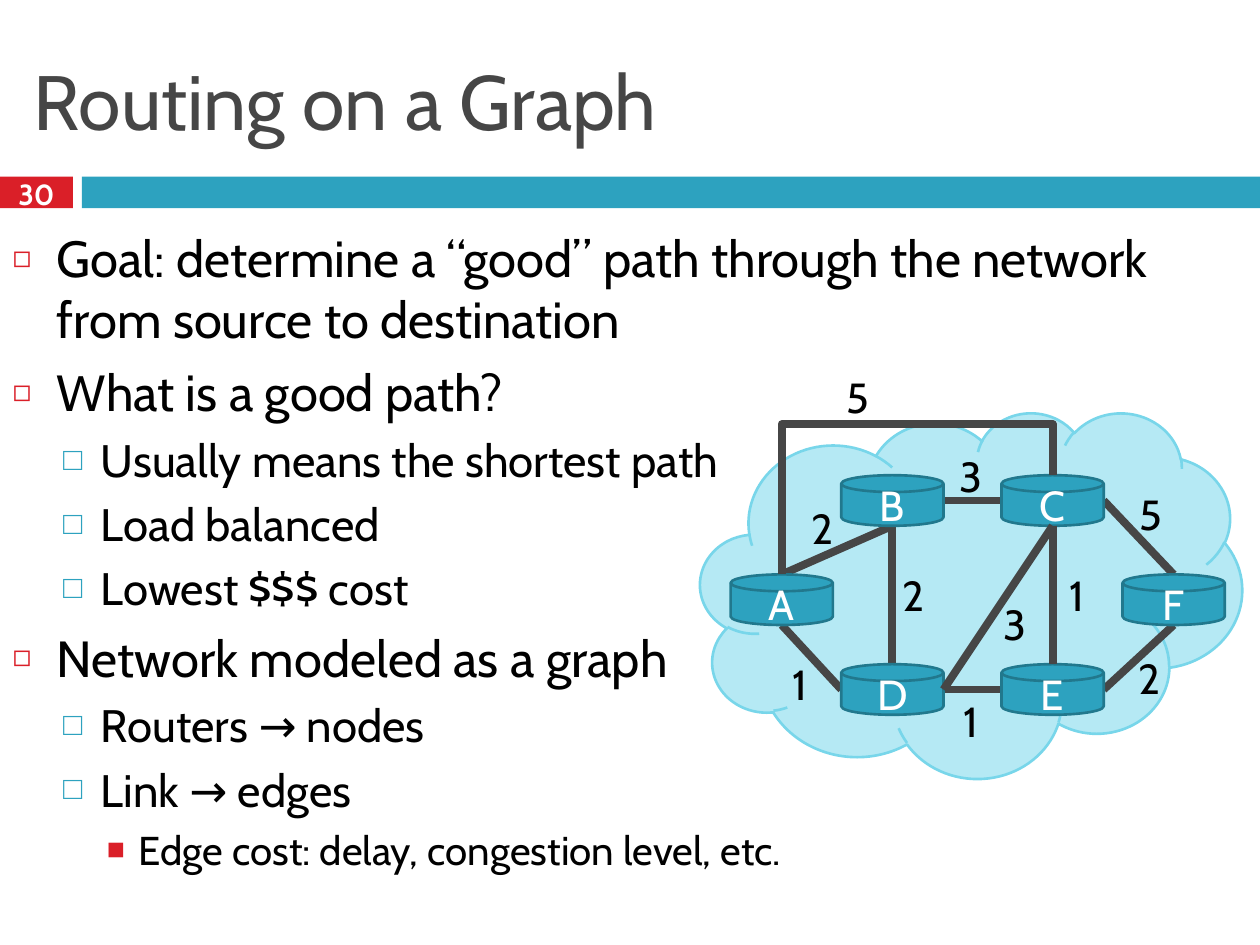
from lxml import etree
from pptx import Presentation
from pptx.dml.color import RGBColor
from pptx.enum.shapes import MSO_CONNECTOR, MSO_SHAPE
from pptx.enum.text import MSO_ANCHOR, MSO_AUTO_SIZE, PP_ALIGN
from pptx.oxml.ns import qn
from pptx.util import Cm, Pt

RECT, CLOUD = MSO_SHAPE.RECTANGLE, MSO_SHAPE.CLOUD
ROUTER = MSO_SHAPE.FLOWCHART_MAGNETIC_DISK
STRAIGHT, ELBOW = MSO_CONNECTOR.STRAIGHT, MSO_CONNECTOR.ELBOW
MIDDLE, CENTER, LEFT = MSO_ANCHOR.MIDDLE, PP_ALIGN.CENTER, PP_ALIGN.LEFT
NO_FIT, GROW = MSO_AUTO_SIZE.NONE, MSO_AUTO_SIZE.SHAPE_TO_FIT_TEXT

COLORS = {"red": "DA1F28", "teal": "2DA2BF", "teal_dark": "21788D",
          "cloud": "B5E9F4", "cloud_edge": "78D6EA", "gray": "464646",
          "black": "000000", "white": "FFFFFF"}

# Per outline level: bullet, its colour and size, indents, text size, space before
LEVELS = [
    dict(bullet="◻", color="red", percent=60, left=0.89, hang=0.89, size=29, before=7),
    dict(bullet="□", color="teal", percent=70, left=1.78, hang=0.76, size=26, before=5.5),
    dict(bullet="■", color="red", percent=75, left=2.54, hang=0.64, size=23, before=5),
]
OUTLINE = [
    (0, "Goal: determine a “good” path through the network from source to destination"),
    (0, "What is a good path?"),
    (1, "Usually means the shortest path"),
    (1, "Load balanced"),
    (1, "Lowest $$$ cost"),
    (0, "Network modeled as a graph"),
    (1, "Routers → nodes"),
    (1, "Link → edges"),
    (2, "Edge cost: delay, congestion level, etc."),
]

# Graph positions in cm from the cloud's top left corner
ROUTER_W, ROUTER_H = 2.06, 1.02
ROUTERS = {"A": (0.61, 3.27), "B": (2.84, 1.27), "C": (6.07, 1.27),
           "D": (2.84, 5.08), "E": (6.07, 5.08), "F": (8.51, 3.27)}
SIDES = {"top": (0.5, 0), "left": (0, 0.5), "bottom": (0.5, 1), "right": (1, 0.5)}
LINKS_BEHIND = [("F", "bottom", "E", "right"), ("C", "right", "F", "top"),
                ("B", "right", "C", "left"), ("E", "left", "D", "right"),
                ("A", "bottom", "D", "left"), ("A", "top", "B", "bottom"),
                ("D", "top", "B", "bottom")]
LINKS_IN_FRONT = [("C", "bottom", "D", "right"), ("C", "bottom", "E", "top")]
DETOUR_RISE = 1.03
COSTS = [("5", 2.67, -0.94), ("2", 1.96, 1.7), ("3", 4.95, 0.64), ("5", 8.59, 1.42),
         ("2", 8.56, 4.72), ("1", 4.95, 5.59), ("1", 1.52, 4.85), ("2", 3.81, 3.05),
         ("3", 5.84, 3.63), ("1", 7.09, 3.05)]


def rgb(name):
    return RGBColor.from_string(COLORS[name])


def set_all(target, **values):
    for key, value in values.items():
        setattr(target, key, value)


def place(shape, box):
    set_all(shape, **dict(zip(("left", "top", "width", "height"), map(Cm, box))))


def write(paragraph, text, size, color, **font):
    run = paragraph.add_run()
    run.text = text
    set_all(run.font, name="Cabin", size=Pt(size), **font)
    run.font.color.rgb = rgb(color)


def add_box(slide, kind, box, fill, line=None):
    shape = slide.shapes.add_shape(kind, *map(Cm, box))
    shape.shadow.inherit = False
    shape.fill.solid()
    shape.fill.fore_color.rgb = rgb(fill)
    if line:
        shape.line.color.rgb = rgb(line)
        shape.line.width = Pt(1.5)
    else:
        shape.line.fill.background()
    return shape


def add_link(slide, kind, start, end):
    link = slide.shapes.add_connector(kind, *map(Cm, start + end))
    link.line.color.rgb = rgb("gray")
    link.line.width = Pt(4.5)
    etree.SubElement(link._element.spPr, qn("a:effectLst"))
    return link


def add_header(slide, box):
    left, top, width, height = box
    number_w, bar_left = 1.47, 1.65
    add_box(slide, RECT, (left, top, number_w, height), "red")
    add_box(slide, RECT, (left + bar_left, top, width - bar_left, height), "teal")
    # Slide number over the red block
    number = slide.shapes.add_textbox(*map(Cm, (left, top - 0.08, number_w, 0.84)))
    set_all(number.text_frame, word_wrap=True, vertical_anchor=MIDDLE,
            margin_top=0, margin_bottom=0)
    paragraph = number.text_frame.paragraphs[0]
    paragraph.alignment = CENTER
    write(paragraph, "30", 16.6, "white", bold=True)


def fill_title(title, box):
    place(title, box)
    set_all(title.text_frame, vertical_anchor=MIDDLE, auto_size=NO_FIT)
    paragraph = title.text_frame.paragraphs[0]
    paragraph.alignment = LEFT
    write(paragraph, "Routing on a Graph", 44, "gray")


def fill_outline(body, box):
    place(body, box)
    frame = body.text_frame
    frame.auto_size = NO_FIT
    for index, (level, text) in enumerate(OUTLINE):
        style = LEVELS[level]
        paragraph = frame.add_paragraph() if index else frame.paragraphs[0]
        props = paragraph._p.get_or_add_pPr()
        props.set("marL", str(Cm(style["left"])))
        props.set("indent", str(-Cm(style["hang"])))
        color = etree.SubElement(props, qn("a:buClr"))
        etree.SubElement(color, qn("a:srgbClr"), val=COLORS[style["color"]])
        etree.SubElement(props, qn("a:buSzPct"), val=str(style["percent"] * 1000))
        etree.SubElement(props, qn("a:buChar"), char=style["bullet"])
        set_all(paragraph, level=level, space_before=Pt(style["before"] if index else 0))
        write(paragraph, text, style["size"], "black")


def add_graph(slide, box):
    left, top = box[:2]

    def port(router, side):
        (x, y), (across, down) = ROUTERS[router], SIDES[side]
        return left + x + across * ROUTER_W, top + y + down * ROUTER_H

    def add_links(links):
        for first, side, second, other_side in links:
            add_link(slide, STRAIGHT, port(first, side), port(second, other_side))

    add_box(slide, CLOUD, box, "cloud", "cloud_edge")
    add_links(LINKS_BEHIND)

    for name, (x, y) in ROUTERS.items():
        router = add_box(slide, ROUTER, (left + x, top + y, ROUTER_W, ROUTER_H),
                         "teal", "teal_dark")
        router.text_frame.vertical_anchor = MIDDLE
        paragraph = router.text_frame.paragraphs[0]
        paragraph.alignment = CENTER
        write(paragraph, name, 24, "white")

    add_links(LINKS_IN_FRONT)
    add_detour(slide, port("A", "top"), port("C", "top"))

    for cost, x, y in COSTS:
        label = slide.shapes.add_textbox(*map(Cm, (left + x, top + y, 0.99, 1.27)))
        set_all(label.text_frame, word_wrap=False, auto_size=GROW)
        paragraph = label.text_frame.paragraphs[0]
        paragraph.alignment = CENTER
        write(paragraph, cost, 24, "black")


def add_detour(slide, start, end):
    """Link that rises above both ends: an elbow turned by a quarter."""
    run, rise = end[0] - start[0], start[1] - end[1]
    mid_x, mid_y = (start[0] + end[0]) / 2, (start[1] + end[1]) / 2
    link = add_link(slide, ELBOW, (mid_x - rise / 2, mid_y - run / 2),
                    (mid_x + rise / 2, mid_y + run / 2))
    props = link._element.spPr
    for key, value in {"rot": "5400000", "flipH": "1", "flipV": "1"}.items():
        props.find(qn("a:xfrm")).set(key, value)
    bend = round((1 + DETOUR_RISE / rise) * 100000)
    guides = props.find(qn("a:prstGeom")).find(qn("a:avLst"))
    etree.SubElement(guides, qn("a:gd"), name="adj1", fmla=f"val {bend}")


def main():
    deck = Presentation()
    deck.slide_width, deck.slide_height = Cm(25.4), Cm(19.05)
    slide = deck.slides.add_slide(deck.slide_layouts[1])
    add_header(slide, (0, 3.56, 25.4, 0.64))
    fill_title(slide.shapes.title, (0.43, 0.64, 24.56, 2.74))
    fill_outline(slide.placeholders[1], (0, 4.45, 24.97, 14.17))
    add_graph(slide, (14.12, 8.31, 10.92, 7.37))
    deck.save("out.pptx")


if __name__ == "__main__":
    main()
